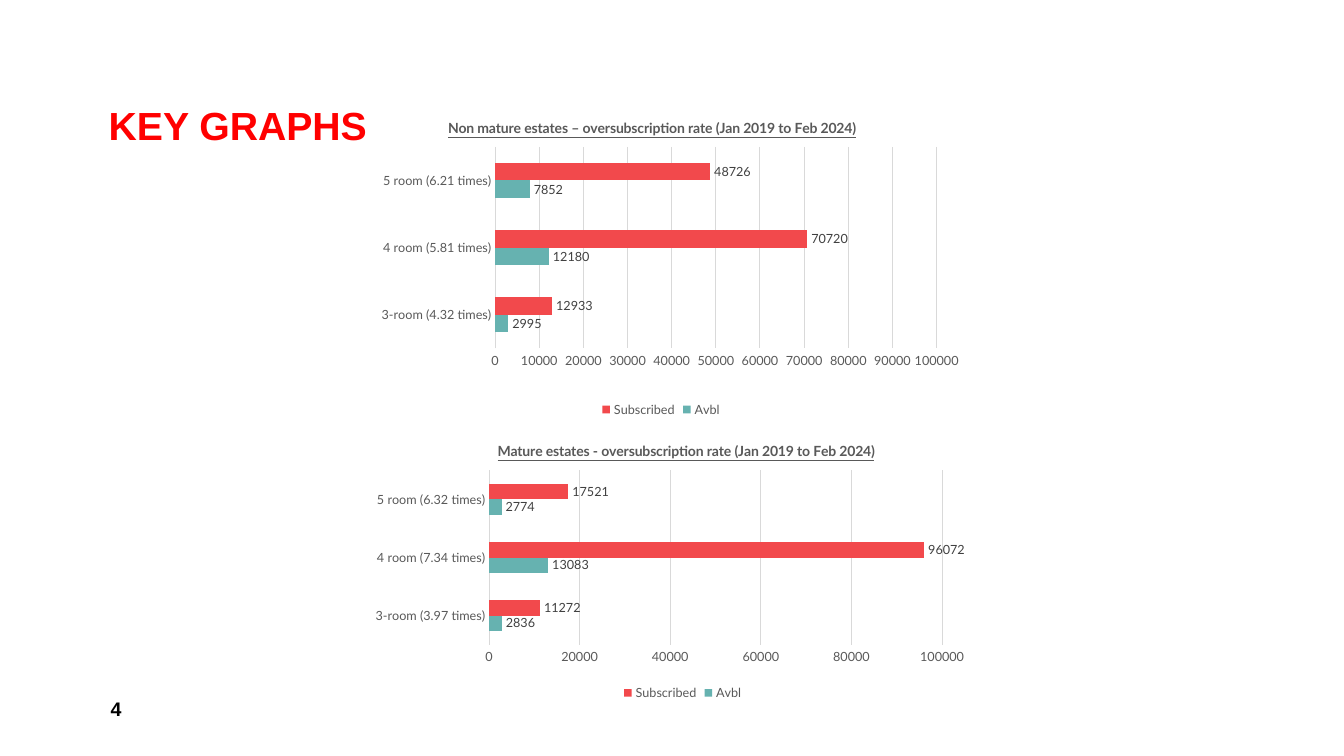
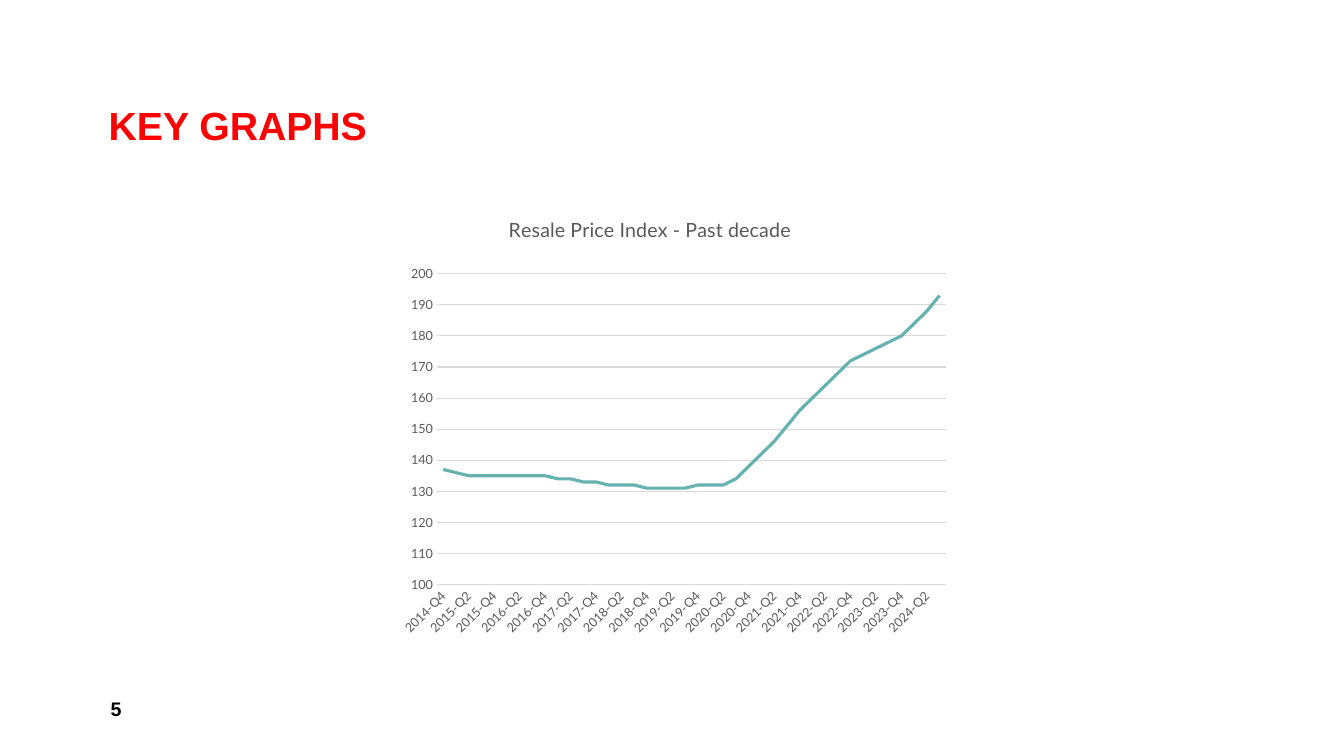
from dataclasses import dataclass

from lxml.etree import SubElement
from pptx import Presentation
from pptx.chart.data import CategoryChartData
from pptx.dml.color import RGBColor
from pptx.enum.chart import XL_CHART_TYPE, XL_LABEL_POSITION, XL_LEGEND_POSITION, XL_TICK_MARK
from pptx.enum.text import MSO_ANCHOR
from pptx.oxml.ns import qn
from pptx.util import Cm, Pt


@dataclass(frozen=True)
class Theme:
    # Fonts
    text_font: str = "Arial"
    chart_font: str = "Lato"
    # Colours
    title: RGBColor = RGBColor(0xFF, 0x00, 0x00)
    ink: RGBColor = RGBColor(0x00, 0x00, 0x00)
    label: RGBColor = RGBColor(0x40, 0x40, 0x40)
    axis: RGBColor = RGBColor(0x59, 0x59, 0x59)
    grid: RGBColor = RGBColor(0xD9, 0xD9, 0xD9)
    teal: RGBColor = RGBColor(0x66, 0xB2, 0xB0)
    red: RGBColor = RGBColor(0xF2, 0x49, 0x4C)
    # Type sizes and line widths
    title_size: Pt = Pt(28)
    number_size: Pt = Pt(14)
    chart_size: Pt = Pt(10)
    axis_size: Pt = Pt(9)
    line_title_size: Pt = Pt(14)
    thin: Pt = Pt(0.75)
    thick: Pt = Pt(2.25)


def set_font(font, name, size, color, bold=False):
    font.name, font.size, font.bold = name, size, bold
    font.color.rgb = color


def set_layout(parent, index, **values):
    """Place a chart part by fractions of the chart area."""
    for old in parent.findall(qn("c:layout")):
        parent.remove(old)
    layout = SubElement(parent, qn("c:layout"))
    manual = SubElement(layout, qn("c:manualLayout"))
    for tag, value in values.items():
        SubElement(manual, qn(f"c:{tag}")).set("val", str(value))
    parent.insert(index, layout)


class Deck:
    def __init__(self, theme):
        self.theme = theme
        self.deck = Presentation()
        self.deck.slide_width, self.deck.slide_height = Cm(33.87), Cm(19.05)
        self.page = None

    def add_page(self, title, number):
        t = self.theme
        self.page = self.deck.slides.add_slide(self.deck.slide_layouts[6])
        self.add_text(title, (2.49, 0.2, 28.91, 3.68), t.title_size, t.title,
                      MSO_ANCHOR.BOTTOM, 0.9)
        self.add_text(str(number), (2.54, 17.35, 7.42, 1.02), t.number_size, t.ink,
                      MSO_ANCHOR.MIDDLE)

    def add_text(self, text, place, size, color, anchor, spacing=1.0):
        box = self.page.shapes.add_textbox(*map(Cm, place))
        frame = box.text_frame
        frame.word_wrap, frame.vertical_anchor = True, anchor
        para = frame.paragraphs[0]
        para.line_spacing = spacing
        span = para.add_run()
        span.text = text
        set_font(span.font, self.theme.text_font, size, color, bold=True)

    def add_chart(self, kind, place, categories, series, plot_place):
        data = CategoryChartData()
        data.categories = categories
        for name, values in series:
            data.add_series(name, values)
        chart = self.page.shapes.add_chart(kind, *map(Cm, place), data).chart
        t = self.theme
        set_font(chart.font, t.chart_font, t.chart_size, t.ink)
        chart.has_legend = False
        x, y, w, h = plot_place
        set_layout(chart._chartSpace.chart.plotArea, 0, layoutTarget="inner",
                   xMode="edge", yMode="edge", x=x, y=y, w=w, h=h)
        return chart

    def add_chart_title(self, chart, text, size, position, emphasis=False):
        chart.has_title = True
        title = chart.chart_title
        span = title.text_frame.paragraphs[0].add_run()
        span.text = text
        set_font(span.font, self.theme.chart_font, size, self.theme.axis, emphasis)
        span.font.underline = emphasis
        x, y = position
        set_layout(title._element, 1, xMode="edge", yMode="edge", x=x, y=y)

    def style_axes(self, chart, low, high, step):
        t = self.theme
        for axis in (chart.category_axis, chart.value_axis):
            axis.major_tick_mark = axis.minor_tick_mark = XL_TICK_MARK.NONE
            set_font(axis.tick_labels.font, t.chart_font, t.axis_size, t.axis)
        values = chart.value_axis
        values.minimum_scale, values.maximum_scale, values.major_unit = low, high, step
        values.has_major_gridlines = True
        values.format.line.fill.background()
        for line in (chart.category_axis.format.line, values.major_gridlines.format.line):
            line.color.rgb, line.width = t.grid, t.thin

    def add_bars(self, title, title_position, place, plot_place, categories, series, step):
        t = self.theme
        chart = self.add_chart(XL_CHART_TYPE.BAR_CLUSTERED, place, categories, series, plot_place)
        self.add_chart_title(chart, title, t.chart_size, title_position, emphasis=True)
        self.style_axes(chart, 0, 100000, step)
        # Bars and their values
        plot = chart.plots[0]
        plot.gap_width, plot.vary_by_categories = 182, False
        for bars, color in zip(plot.series, (t.teal, t.red)):
            bars.format.fill.solid()
            bars.format.fill.fore_color.rgb = color
            labels = bars.data_labels
            labels.show_value, labels.position = True, XL_LABEL_POSITION.OUTSIDE_END
            set_font(labels.font, t.chart_font, t.axis_size, t.label)
        # Legend
        chart.has_legend = True
        chart.legend.position = XL_LEGEND_POSITION.BOTTOM
        chart.legend.include_in_layout = False
        set_font(chart.legend.font, t.chart_font, t.axis_size, t.axis)

    def add_line(self, title, title_position, place, plot_place, categories, series):
        t = self.theme
        chart = self.add_chart(XL_CHART_TYPE.LINE, place, categories, series, plot_place)
        self.add_chart_title(chart, title, t.line_title_size, title_position)
        self.style_axes(chart, 100, 200, 10)
        chart.plots[0].vary_by_categories = False
        curve = chart.plots[0].series[0]
        curve.smooth = False
        curve.format.line.color.rgb, curve.format.line.width = t.teal, t.thick
        # Slanted quarter labels
        body = chart.category_axis._element.find(qn("c:txPr")).find(qn("a:bodyPr"))
        body.set("rot", "-2700000")
        body.set("vert", "horz")


def main():
    deck = Deck(Theme())
    heading = "KEY GRAPHS"

    # Oversubscription rates
    deck.add_page(heading, 4)
    deck.add_bars(
        "Non mature estates – oversubscription rate (Jan 2019 to Feb 2024)", (0.17, 0.03),
        (8.43, 2.67, 16.46, 7.95), (0.246, 0.13, 0.676, 0.639),
        ["3-room (4.32 times)", "4 room (5.81 times)", "5 room (6.21 times)"],
        [("Avbl", (2995, 12180, 7852)), ("Subscribed", (12933, 70720, 48726))], 10000)
    deck.add_bars(
        "Mature estates - oversubscription rate (Jan 2019 to Feb 2024)", (0.22, 0.06),
        (8.76, 10.62, 16.89, 7.14), (0.211, 0.173, 0.676, 0.615),
        ["3-room (3.97 times)", "4 room (7.34 times)", "5 room (6.32 times)"],
        [("Avbl", (2836, 13083, 2774)), ("Subscribed", (11272, 96072, 17521))], 20000)

    # Resale price index, from the last quarter of 2014
    index = (137, 136, 135, 135, 135, 135, 135, 135, 135, 134,
             134, 133, 133, 132, 132, 132, 131, 131, 131, 131,
             132, 132, 132, 134, 138, 142, 146, 151, 156, 160,
             164, 168, 172, 174, 176, 178, 180, 184, 188, 193)
    quarters = [f"{2014 + q // 4}-Q{q % 4 + 1}" for q in range(3, 3 + len(index))]
    deck.add_page(heading, 5)
    deck.add_line(
        "Resale Price Index - Past decade", (0.19, 0.06),
        (9.96, 4.6, 14.58, 12.37), (0.072, 0.186, 0.88, 0.633),
        quarters, [("Series 1", index)])

    deck.deck.save("out.pptx")


if __name__ == "__main__":
    main()
